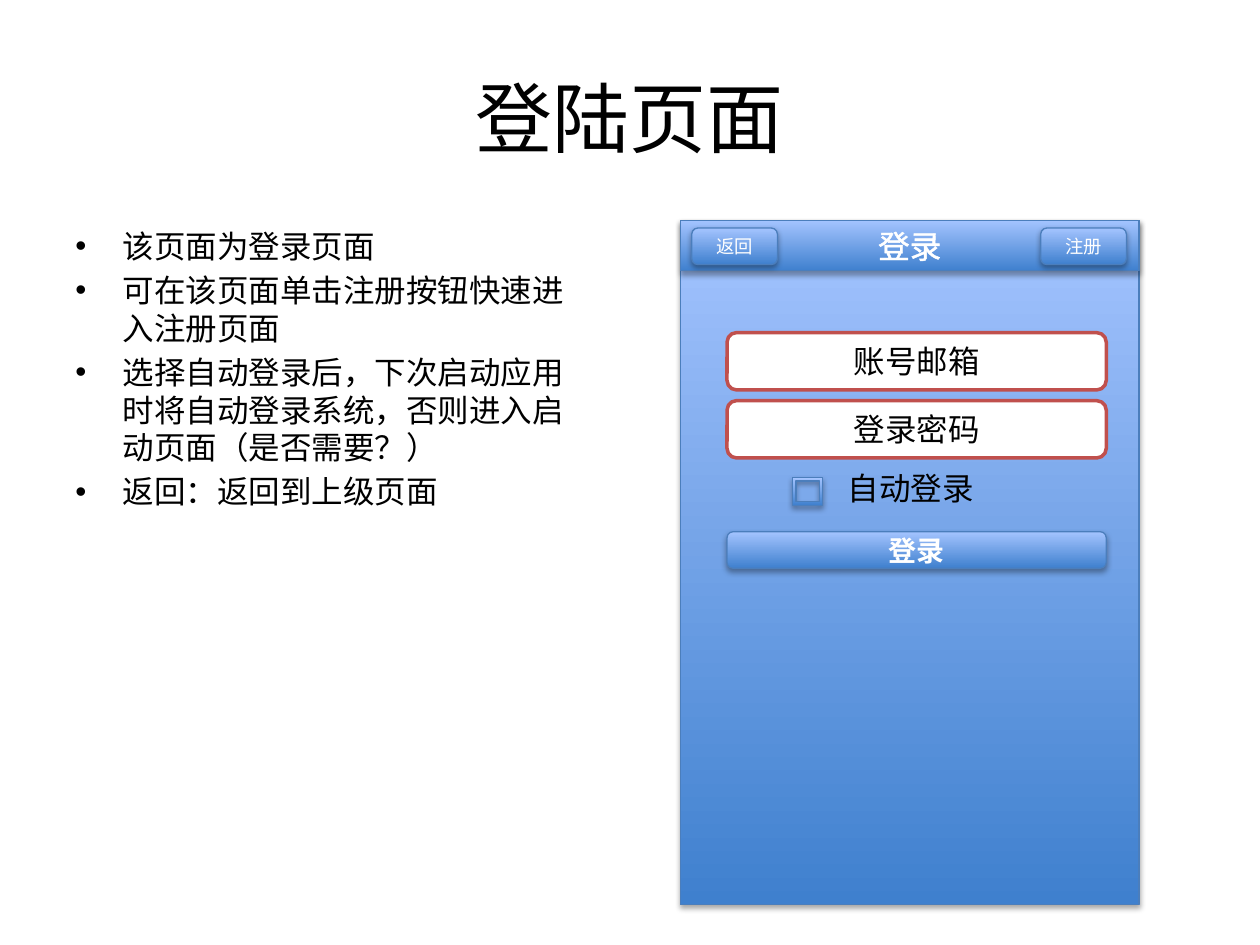
from dataclasses import dataclass

from lxml import etree
from pptx import Presentation
from pptx import util as u
from pptx.dml.color import RGBColor
from pptx.enum import shapes, text
from pptx.oxml import parse_xml
from pptx.oxml.ns import nsdecls, qn


@dataclass(frozen=True)
class Theme:
    ink: str = "000000"
    paper: str = "FFFFFF"
    deep: str = "3F80CE"
    light: str = "A4C4FF"
    edge: str = "4B7EBC"
    field_edge: str = "C0504D"
    font: str = "Calibri"
    heading_font: str = "Noto Sans CJK SC"
    title: float = 44
    body: float = 18
    button: float = 16
    small: float = 10.5


theme = Theme()
deck = Presentation()
deck.slide_width, deck.slide_height = u.Inches(10), u.Inches(7.5)
COL, ROW = deck.slide_width / 100, deck.slide_height / 75
slide = deck.slides.add_slide(deck.slide_layouts[6])

SHADOW = f"""<a:effectLst {nsdecls('a')}>
  <a:outerShdw blurRad="40000" dist="23000" dir="5400000" rotWithShape="0">
    <a:srgbClr val="000000"><a:alpha val="35000"/></a:srgbClr>
  </a:outerShdw></a:effectLst>"""
OUTLINE = f"""<a:ln {nsdecls('a')} w="18415"><a:solidFill>
  <a:srgbClr val="{theme.paper}"/></a:solidFill></a:ln>"""


def write(box, *lines, size=theme.body, color=theme.ink, font=theme.font, bold=False,
          align=text.PP_ALIGN.CENTER, anchor=text.MSO_ANCHOR.MIDDLE,
          bullets=False, outline=False):
    frame = box.text_frame
    frame.word_wrap = True
    frame.vertical_anchor = anchor
    for number, line in enumerate(lines):
        paragraph = frame.add_paragraph() if number else frame.paragraphs[0]
        paragraph.alignment = align
        if number:
            paragraph.space_before = u.Pt(size * 0.2)
        if bullets:
            layout = paragraph._p.get_or_add_pPr()
            indent = round(3.75 * COL)
            layout.set("marL", str(indent))
            layout.set("indent", str(-indent))
            etree.SubElement(layout, qn("a:buFont")).set("typeface", "Arial")
            etree.SubElement(layout, qn("a:buChar")).set("char", "•")
        run = paragraph.add_run()
        run.text = line
        run.font.size, run.font.name, run.font.bold = u.Pt(size), font, bold
        run.font.color.rgb = RGBColor.from_string(color)
        if outline:
            run._r.get_or_add_rPr().insert(0, parse_xml(OUTLINE))


def panel(parent, preset, left, top, width, height, glossy=True):
    """Add a shape placed in grid units: glossy blue, or a plain input field."""
    shape = parent.add_shape(preset, round(left * COL), round(top * ROW),
                             round(width * COL), round(height * ROW))
    shape.shadow.inherit = False
    if glossy:
        shape.fill.gradient()
        shape.fill.gradient_angle = 90
        for stop, color in zip(shape.fill.gradient_stops, (theme.deep, theme.light)):
            stop.color.rgb = RGBColor.from_string(color)
        properties = shape._element.spPr
        properties.replace(properties.find(qn("a:effectLst")), parse_xml(SHADOW))
    else:
        shape.fill.solid()
        shape.fill.fore_color.rgb = RGBColor.from_string(theme.paper)
    shape.line.color.rgb = RGBColor.from_string(theme.edge if glossy else theme.field_edge)
    shape.line.width = u.Pt(0.75 if glossy else 2)
    return shape


# Title and notes on the page's behaviour
title = slide.shapes.add_textbox(round(5 * COL), round(3 * ROW), round(90 * COL), round(12.5 * ROW))
write(title, "登陆页面", size=theme.title)

notes = slide.shapes.add_textbox(round(5 * COL), round(17.5 * ROW),
                                 round(41.3 * COL), round(49.5 * ROW))
write(notes, "该页面为登录页面", "可在该页面单击注册按钮快速进入注册页面",
      "选择自动登录后，下次启动应用时将自动登录系统，否则进入启动页面（是否需要？）",
      "返回：返回到上级页面",
      align=text.PP_ALIGN.LEFT, anchor=text.MSO_ANCHOR.TOP, bullets=True)

# Phone screen
RECT, ROUND = shapes.MSO_SHAPE.RECTANGLE, shapes.MSO_SHAPE.ROUNDED_RECTANGLE
PHONE_LEFT, PHONE_TOP, PHONE_WIDTH = 54, 17.5, 36.4
FORM_LEFT, FORM_WIDTH = 57.7, 30.1
phone = slide.shapes.add_group_shape().shapes

panel(phone, RECT, PHONE_LEFT, PHONE_TOP, PHONE_WIDTH, 54.3)
header = panel(phone, RECT, PHONE_LEFT, PHONE_TOP, PHONE_WIDTH, 4)
write(header, "登录", color=theme.paper, font=theme.heading_font, outline=True)

for label, parent, left in (("返回", phone, 54.9), ("注册", slide.shapes, 82.6)):
    corner_button = panel(parent, ROUND, left, 18.1, 6.8, 2.9)
    write(corner_button, label, size=theme.small, color=theme.paper)

login_button = panel(phone, ROUND, FORM_LEFT, 42.2, FORM_WIDTH, 2.9)
write(login_button, "登录", size=theme.button, color=theme.paper, bold=True)

for row, label in enumerate(("账号邮箱", "登录密码")):
    field = panel(phone, ROUND, FORM_LEFT, 26.4 + 5.4 * row, FORM_WIDTH, 4.55, glossy=False)
    write(field, label)

# Automatic login option
panel(slide.shapes, shapes.MSO_SHAPE.FRAME, 62.9, 37.9, 2.4, 2.2)
option = slide.shapes.add_textbox(round(66.3 * COL), round(36.7 * ROW),
                                  round(14.6 * COL), round(4 * ROW))
write(option, "自动登录", align=text.PP_ALIGN.LEFT, anchor=text.MSO_ANCHOR.TOP)
option.text_frame.auto_size = text.MSO_AUTO_SIZE.SHAPE_TO_FIT_TEXT

deck.save("out.pptx")
